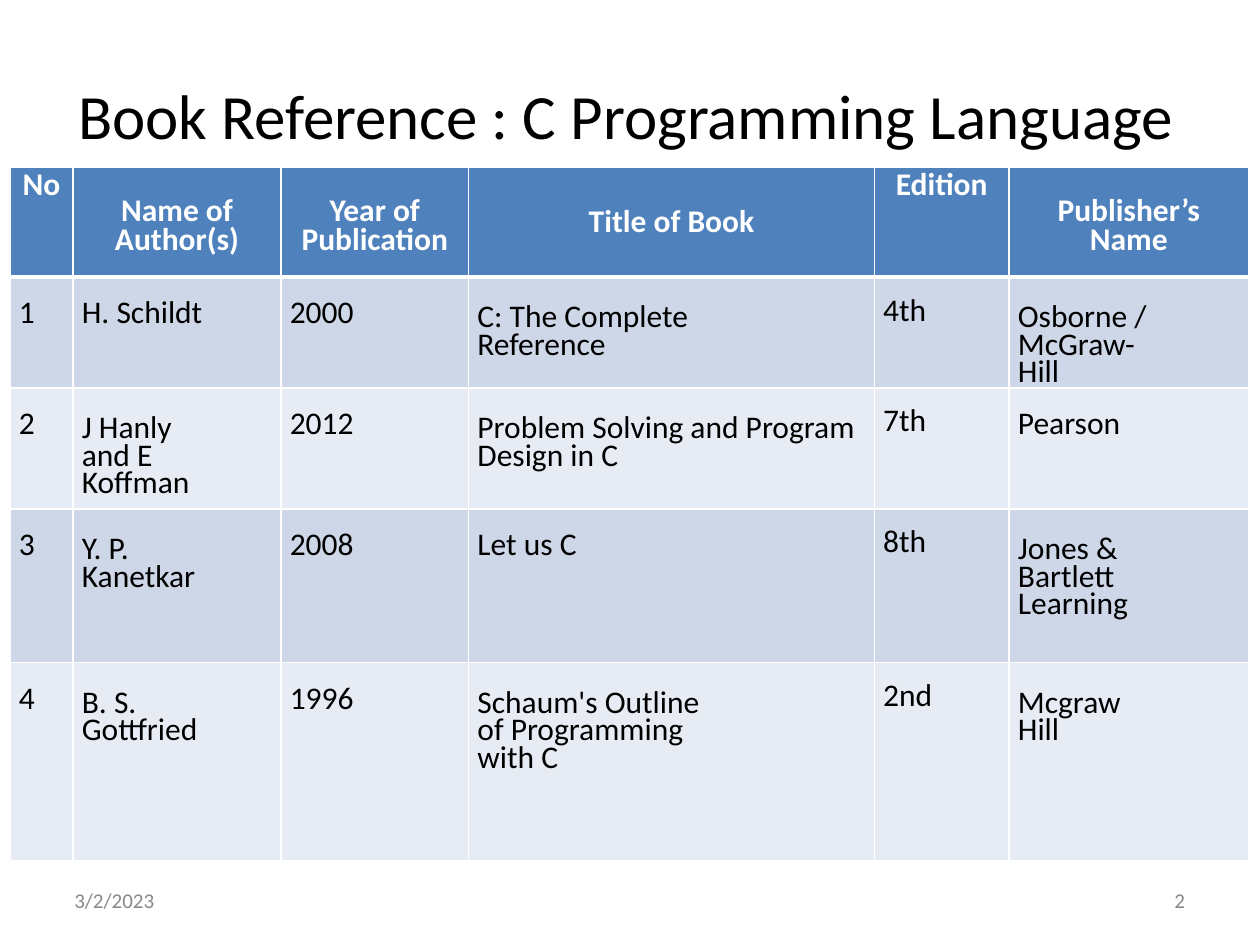
from dataclasses import dataclass

from lxml import etree
from pptx import Presentation
from pptx.dml.color import RGBColor
from pptx.enum.text import MSO_ANCHOR, PP_ALIGN
from pptx.oxml.ns import qn
from pptx.util import Inches, Pt

LEFT, CENTER = PP_ALIGN.LEFT, PP_ALIGN.CENTER
TOP = MSO_ANCHOR.TOP
BLANK_LAYOUT = 6


@dataclass(frozen=True)
class Theme:
    font: str = "Calibri"
    text: str = "000000"
    footer: str = "888888"
    header_text: str = "FFFFFF"
    header_fill: str = "4F81BD"
    bands: tuple = ("CED7E7", "E7ECF4")
    border: str = "FFFFFF"
    title_size: int = 36
    table_size: int = 18
    footer_size: int = 12


THEME = Theme()

COLUMN_WIDTHS = (0.5, 1.65, 1.49, 3.22, 1.07, 1.9)
ROW_HEIGHTS = (0.87, 0.88, 0.96, 1.22, 1.57)
EDITION_COLUMN = 4

HEADINGS = ("No", "Name of\vAuthor(s)", "Year of\vPublication",
            "Title of Book", "Edition", "Publisher’s\vName")
BOOKS = (
    ("1", "H. Schildt", "2000", "C: The Complete\vReference", "4th",
     "Osborne /\vMcGraw-\vHill"),
    ("2", "J Hanly\vand E\vKoffman", "2012",
     "Problem Solving and Program\vDesign in C", "7th", "Pearson"),
    ("3", "Y. P.\vKanetkar", "2008", "Let us C", "8th",
     "Jones &\vBartlett\vLearning"),
    ("4", "B. S.\vGottfried", "1996",
     "Schaum's Outline\vof Programming\vwith C", "2nd", "Mcgraw\vHill"),
)

# Top margin and line spacing of each kind of cell
HEADING_CORNER = (0, Pt(20.9))
HEADING_SINGLE = (0.28, 1.0)
HEADING_WRAPPED = (0.24, 0.76)
BODY_EDITION = (0.11, 1.0)
BODY_SINGLE = (0.13, 1.0)
BODY_WRAPPED = (0.23, 0.71)


def write_text(frame, text, size, color, bold=False, align=LEFT, spacing=1.0):
    frame.word_wrap = True
    frame.text = text
    paragraph = frame.paragraphs[0]
    paragraph.alignment = align
    paragraph.line_spacing = spacing
    font_format = {"name": THEME.font, "size": Pt(size), "bold": bold}
    for run in paragraph.runs:
        for attribute, value in font_format.items():
            setattr(run.font, attribute, value)
        run.font.color.rgb = RGBColor.from_string(color)


def set_margins(target, left=0, top=0):
    margins = {"margin_left": left, "margin_top": top,
               "margin_right": 0, "margin_bottom": 0}
    for attribute, value in margins.items():
        setattr(target, attribute, Inches(value))


def add_label(slide, box, text, size, color, left=0, top=0, spacing=1.0):
    frame = slide.shapes.add_textbox(*map(Inches, box)).text_frame
    set_margins(frame, left, top)
    write_text(frame, text, size, color, spacing=spacing)


def set_borders(cell, widths):
    """Draw the left, right, top and bottom borders, widths in points."""
    properties = cell._tc.get_or_add_tcPr()
    for position, (side, width) in enumerate(zip("LRTB", widths)):
        line = etree.Element(qn(f"a:ln{side}"), w=str(Pt(width)))
        fill = etree.SubElement(line, qn("a:solidFill"))
        etree.SubElement(fill, qn("a:srgbClr"), val=THEME.border)
        properties.insert(position, line)


def cell_layout(row, column, text):
    wrapped = "\v" in text
    if row == 0:
        if column in (0, EDITION_COLUMN):
            return HEADING_CORNER
        return HEADING_WRAPPED if wrapped else HEADING_SINGLE
    if column == EDITION_COLUMN:
        return BODY_EDITION
    return BODY_WRAPPED if wrapped else BODY_SINGLE


def fill_cell(cell, row, column, text):
    heading = row == 0
    top, spacing = cell_layout(row, column, text)
    set_margins(cell, 0 if heading else 0.07, top)
    cell.vertical_anchor = TOP
    write_text(cell.text_frame, text, THEME.table_size,
               THEME.header_text if heading else THEME.text,
               bold=heading, align=CENTER if heading else LEFT,
               spacing=spacing)
    cell.fill.solid()
    band = THEME.header_fill if heading else THEME.bands[(row - 1) % 2]
    cell.fill.fore_color.rgb = RGBColor.from_string(band)
    set_borders(cell, (1, 1, 3 if row == 1 else 1, 3 if heading else 1))


def add_book_table(slide):
    records = (HEADINGS, *BOOKS)
    table = slide.shapes.add_table(
        len(records), len(HEADINGS), Inches(0.08), Inches(1.33),
        Inches(sum(COLUMN_WIDTHS)), Inches(sum(ROW_HEIGHTS))).table
    table.horz_banding = False
    for column, width in zip(table.columns, COLUMN_WIDTHS):
        column.width = Inches(width)
    for row, height in zip(table.rows, ROW_HEIGHTS):
        row.height = Inches(height)
    for row, record in enumerate(records):
        for column, text in enumerate(record):
            fill_cell(table.cell(row, column), row, column, text)


def main():
    deck = Presentation()
    deck.slide_width, deck.slide_height = Inches(10), Inches(7.5)
    slide = deck.slides.add_slide(deck.slide_layouts[BLANK_LAYOUT])
    footer_style = {"size": THEME.footer_size, "color": THEME.footer,
                    "spacing": Pt(12.4)}
    add_label(slide, (0.58, 7.07, 0.66, 0.19), "3/2/2023", left=0.01,
              **footer_style)
    add_label(slide, (9.28, 7.07, 0.17, 0.19), "2", left=0.04, **footer_style)
    add_book_table(slide)
    add_label(slide, (0.61, 0.59, 8.76, 0.63),
              "Book Reference : C Programming Language",
              THEME.title_size, THEME.text, left=0.01, top=0.02)
    deck.save("out.pptx")


if __name__ == "__main__":
    main()
